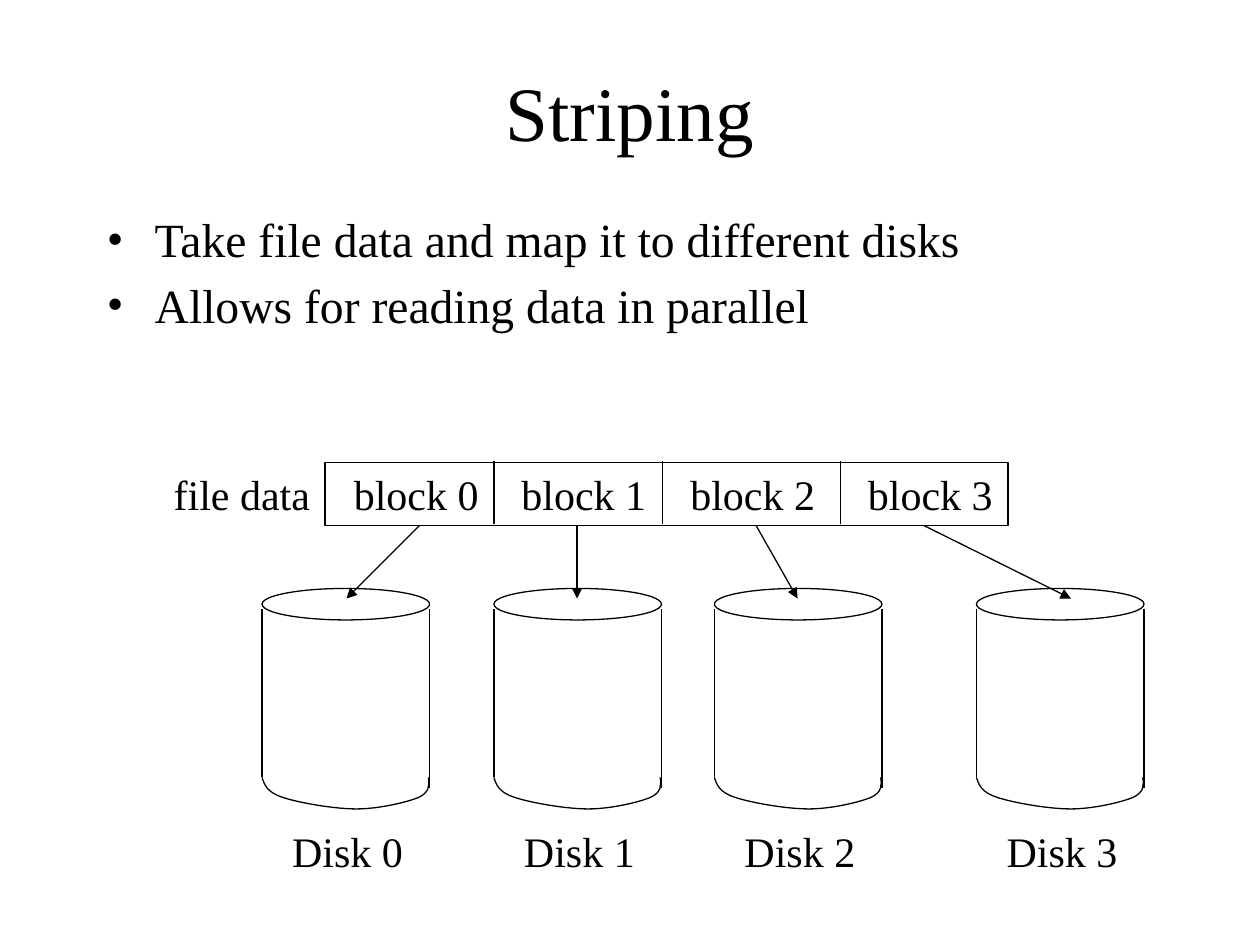
from pptx import Presentation
from pptx.dml.color import RGBColor
from pptx.enum.shapes import MSO_CONNECTOR, MSO_SHAPE
from pptx.enum.text import MSO_ANCHOR, MSO_AUTO_SIZE, PP_ALIGN
from pptx.oxml.ns import qn
from pptx.util import Inches, Pt
from lxml.etree import SubElement

BLACK = RGBColor(0, 0, 0)
WHITE = RGBColor(255, 255, 255)

BLOCK_TOP, BLOCK_HEIGHT = 3.67, 0.5
BLOCK_BOTTOM = BLOCK_TOP + BLOCK_HEIGHT
BLOCK_EDGES = [2.58, 3.92, 5.26, 6.67, 8.0]
BLOCK_LABEL_LEFTS = [2.71, 4.04, 5.38, 6.79]
DISK_LEFTS = [2.08, 3.92, 5.67, 7.75]
DISK_WIDTH = 1.33
ARROWS = [(3.33, 2.75), (4.58, 4.58), (6.0, 6.33), (7.33, 8.5)]
DISK_BASE = [
    (0.02, 0.06), (0.04, 0.12), (0.17, 0.16),
    (0.29, 0.2), (0.57, 0.25), (0.75, 0.25),
    (0.92, 0.25), (1.14, 0.2), (1.24, 0.16),
    (1.33, 0.12), (1.33, 0.06), (1.32, 0),
]


class Painter:
    font = "Times New Roman"
    line_width = Pt(0.75)

    def __init__(self, page):
        self.page = page

    def span(self, para, words, size):
        span = para.add_run()
        span.text = words
        span.font.name = self.font
        span.font.size = Pt(size)
        span.font.color.rgb = BLACK

    def title(self, words, left, top, width, height):
        box = self.page.shapes.add_textbox(*map(Inches, (left, top, width, height)))
        box.text_frame.word_wrap = True
        box.text_frame.vertical_anchor = MSO_ANCHOR.MIDDLE
        para = box.text_frame.paragraphs[0]
        para.alignment = PP_ALIGN.CENTER
        self.span(para, words, 44)

    def bullets(self, lines, left, top, width, height):
        box = self.page.shapes.add_textbox(*map(Inches, (left, top, width, height)))
        frame = box.text_frame
        frame.word_wrap = True
        for index, words in enumerate(lines):
            para = frame.add_paragraph() if index else frame.paragraphs[0]
            para.line_spacing = 0.9
            para.space_before = Pt(8 if index else 0)
            properties = para._p.get_or_add_pPr()
            properties.set("marL", str(Inches(0.38)))
            properties.set("indent", str(-Inches(0.38)))
            SubElement(properties, qn("a:buFont")).set("typeface", self.font)
            SubElement(properties, qn("a:buChar")).set("char", "•")
            self.span(para, words, 27.2)

    def label(self, words, left, top, width, shapes=None):
        shapes = shapes or self.page.shapes
        box = shapes.add_textbox(Inches(left), Inches(top), Inches(width), Inches(0.5))
        box.text_frame.word_wrap = False
        box.text_frame.auto_size = MSO_AUTO_SIZE.SHAPE_TO_FIT_TEXT
        self.span(box.text_frame.paragraphs[0], words, 24)

    def outline(self, shape):
        shape.shadow.inherit = False
        shape.fill.background()
        shape.line.color.rgb = BLACK
        shape.line.width = self.line_width

    def preset(self, kind, left, top, width, height, shapes=None):
        shapes = shapes or self.page.shapes
        self.outline(shapes.add_shape(kind, *map(Inches, (left, top, width, height))))

    def line(self, start, end, shapes=None, arrow=False):
        shapes = shapes or self.page.shapes
        line = shapes.add_connector(MSO_CONNECTOR.STRAIGHT, *map(Inches, start + end))
        line.line.color.rgb = BLACK
        line.line.width = self.line_width
        if arrow:
            SubElement(line.line._get_or_add_ln(), qn("a:tailEnd")).set("type", "triangle")
        SubElement(line._element.spPr, qn("a:effectLst"))

    def curve(self, left, top, controls, shapes):
        builder = shapes.build_freeform(Inches(left), Inches(top))
        points = [(Inches(left + x), Inches(top + y)) for x, y in controls]
        builder.add_line_segments(points, close=False)
        shape = builder.convert_to_shape()
        segments = list(shape._element.iter(qn("a:lnTo")))
        outline_path = segments[0].getparent()
        for first in range(0, len(segments), 3):
            cubic = SubElement(outline_path, qn("a:cubicBezTo"))
            for segment in segments[first:first + 3]:
                cubic.append(segment[0])
                outline_path.remove(segment)
        self.outline(shape)

    def disk(self, name, left):
        shapes = self.page.shapes.add_group_shape().shapes
        right = left + DISK_WIDTH
        self.preset(MSO_SHAPE.OVAL, left, 4.67, DISK_WIDTH, 0.25, shapes)
        self.line((left, 4.83), (left, 6.17), shapes)
        self.line((right, 4.83), (right, 6.25), shapes)
        self.curve(left, 6.17, DISK_BASE, shapes)
        self.label(name, left + 0.14, 6.5, 1.08, shapes)


def main():
    deck = Presentation()
    deck.slide_width, deck.slide_height = Inches(10), Inches(7.5)
    page = deck.slides.add_slide(deck.slide_layouts[6])
    page.background.fill.solid()
    page.background.fill.fore_color.rgb = WHITE
    painter = Painter(page)

    painter.title("Striping", 0.75, 0.42, 8.5, 0.92)
    painter.bullets(
        ["Take file data and map it to different disks", "Allows for reading data in parallel"],
        0.75, 1.67, 8.5, 1.5,
    )

    first, last = BLOCK_EDGES[0], BLOCK_EDGES[-1]
    painter.preset(MSO_SHAPE.RECTANGLE, first, BLOCK_TOP, last - first, BLOCK_HEIGHT)
    for edge in BLOCK_EDGES[1:-1]:
        painter.line((edge, 3.66), (edge, 4.16))
    painter.label("file data", 1.28, BLOCK_TOP, 1.28)
    for number, left in enumerate(BLOCK_LABEL_LEFTS):
        painter.label(f"block {number}", left, BLOCK_TOP, 1.19)

    for number, left in enumerate(DISK_LEFTS):
        painter.disk(f"Disk {number}", left)
    for start, end in ARROWS:
        painter.line((start, BLOCK_BOTTOM), (end, 4.75), arrow=True)

    deck.save("out.pptx")


if __name__ == "__main__":
    main()
